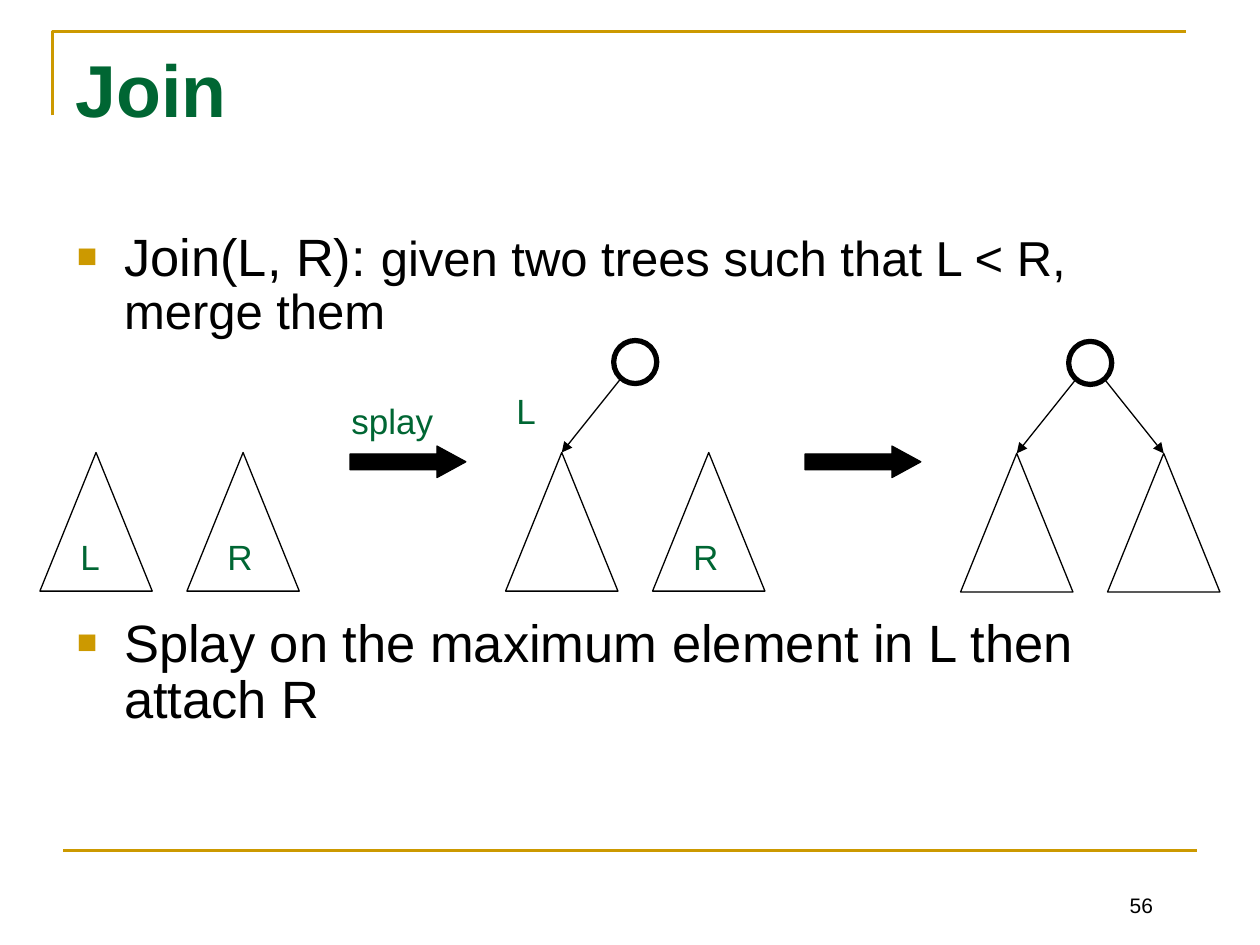
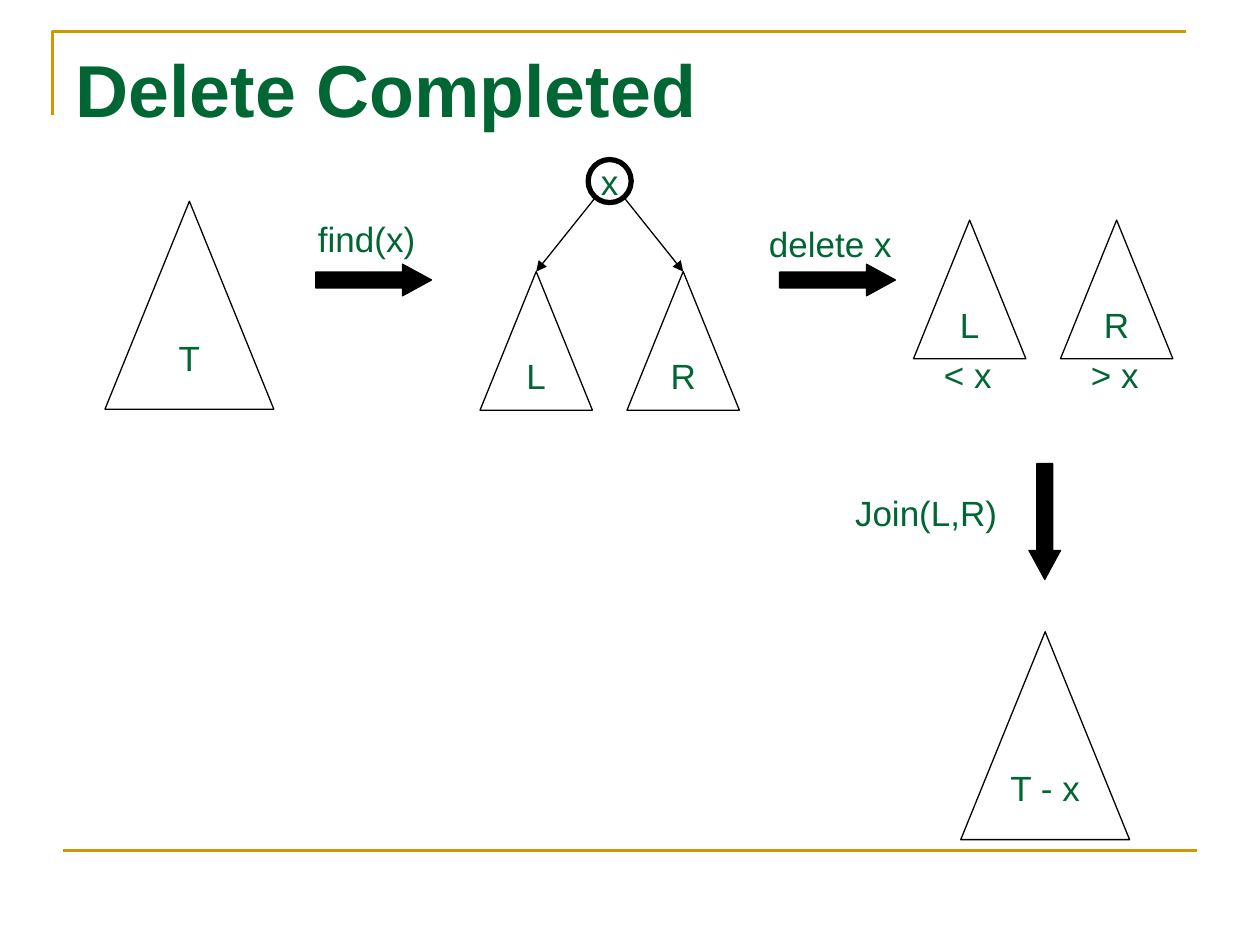
from lxml.etree import SubElement
from pptx import Presentation
from pptx.dml.color import RGBColor
from pptx.enum.shapes import MSO_CONNECTOR, MSO_SHAPE
from pptx.enum.text import MSO_ANCHOR, MSO_AUTO_SIZE, PP_ALIGN
from pptx.oxml.ns import qn
from pptx.util import Pt

COLORS = {"gold": "CC9900", "green": "006633", "black": "000000"}
FONT = "Arial"
LEFT, CENTER, RIGHT = PP_ALIGN.LEFT, PP_ALIGN.CENTER, PP_ALIGN.RIGHT

SMALL_TREE = (64.2, 79.2)
LARGE_TREE = (96.5, 118.8)
TREE_STEP = 84
ROOT_SIZE = 24.6
ROOT_RISE = 64
EDGE_RISE = 41.8
EDGE_OFFSET = 8.6
ARROW_SIZE = (66.2, 18)


def rgb(name):
    return RGBColor.from_string(COLORS[name])


class Deck:
    """Shared style plus the slide being drawn."""

    def __init__(self):
        self.prs = Presentation()
        self.prs.slide_width, self.prs.slide_height = Pt(720), Pt(540)
        self.s = None

    def slide(self, title, layout):
        self.s = self.prs.slides.add_slide(self.prs.slide_layouts[layout])
        self.frame()
        sp = self.s.shapes.title
        self.place(sp, 36, 21.6, 648, 90)
        tf = sp.text_frame
        tf.vertical_anchor = MSO_ANCHOR.TOP
        tf.auto_size = MSO_AUTO_SIZE.NONE
        tf.paragraphs[0].alignment = LEFT
        self.run(tf.paragraphs[0], title, 42, "green", bold=True)

    def frame(self):
        """Gold corner at the top left and gold rule at the bottom."""
        builder = self.s.shapes.build_freeform(Pt(30), Pt(66))
        builder.add_line_segments([(Pt(30), Pt(18)), (Pt(678), Pt(18))], close=False)
        self.style(builder.convert_to_shape(), line="gold", width=1.5)
        self.line((36, 486), (684, 486), "gold", 1.5)

    def place(self, sp, x, y, w, h):
        sp.left, sp.top, sp.width, sp.height = Pt(x), Pt(y), Pt(w), Pt(h)

    def style(self, sp, fill=None, line="black", width=0.75):
        sp.shadow.inherit = False
        if fill:
            sp.fill.solid()
            sp.fill.fore_color.rgb = rgb(fill)
        else:
            sp.fill.background()
        sp.line.color.rgb = rgb(line)
        sp.line.width = Pt(width)

    def run(self, p, text, size=20, color="green", bold=False):
        r = p.add_run()
        r.text = text
        r.font.name, r.font.size, r.font.bold = FONT, Pt(size), bold
        r.font.color.rgb = rgb(color)

    def line(self, start, end, color="black", width=0.75, arrow=False):
        points = [Pt(v) for v in (*start, *end)]
        cx = self.s.shapes.add_connector(MSO_CONNECTOR.STRAIGHT, *points)
        cx.line.color.rgb = rgb(color)
        cx.line.width = Pt(width)
        if arrow:
            SubElement(cx.line._get_or_add_ln(), qn("a:tailEnd"), type="triangle")
        SubElement(cx._element.spPr, qn("a:effectLst"))

    def shape(self, kind, x, y, w, h, text="", align=CENTER, fill=None, width=0.75):
        sp = self.s.shapes.add_shape(kind, Pt(x), Pt(y), Pt(w), Pt(h))
        self.style(sp, fill, width=width)
        if text:
            tf = sp.text_frame
            tf.word_wrap = False
            tf.vertical_anchor = MSO_ANCHOR.MIDDLE
            tf.paragraphs[0].alignment = align
            self.run(tf.paragraphs[0], text)
        return sp

    def label(self, text, x, y, w, align=CENTER):
        sp = self.s.shapes.add_textbox(Pt(x), Pt(y), Pt(w), Pt(31.5))
        tf = sp.text_frame
        tf.word_wrap = False
        tf.auto_size = MSO_AUTO_SIZE.SHAPE_TO_FIT_TEXT
        tf.paragraphs[0].alignment = align
        self.run(tf.paragraphs[0], text)

    def number(self, text):
        sp = self.s.shapes.add_textbox(Pt(516), Pt(492), Pt(150), Pt(36))
        tf = sp.text_frame
        tf.word_wrap = True
        tf.vertical_anchor = MSO_ANCHOR.BOTTOM
        tf.paragraphs[0].alignment = RIGHT
        self.run(tf.paragraphs[0], text, 12, "black")

    def arrow(self, x, y, rotation=0):
        sp = self.shape(MSO_SHAPE.RIGHT_ARROW, x, y, *ARROW_SIZE, fill="black")
        sp.adjustments[0], sp.adjustments[1] = 0.5, 0.917
        sp.rotation = rotation

    def tree(self, x, y, text="", size=SMALL_TREE, align=CENTER):
        self.shape(MSO_SHAPE.ISOSCELES_TRIANGLE, x, y, *size, text, align)

    def tree_pair(self, x, y, texts=("", ""), align=CENTER):
        for i, text in enumerate(texts):
            self.tree(x + i * TREE_STEP, y, text, align=align)

    def root(self, x, y, text="", sides=(-1, 1)):
        """Root node over the tree pair at x, y, with an edge to each given side."""
        middle = x + (TREE_STEP + SMALL_TREE[0]) / 2
        self.shape(MSO_SHAPE.OVAL, middle - ROOT_SIZE / 2, y - ROOT_RISE,
                   ROOT_SIZE, ROOT_SIZE, text, width=3)
        for side in sides:
            self.line((middle + side * EDGE_OFFSET, y - EDGE_RISE),
                      (middle + side * TREE_STEP / 2, y), arrow=True)

    def bullets(self, items):
        """Each item is (space before, [(text, size), ...])."""
        sp = self.s.placeholders[1]
        self.place(sp, 36.7, 128.2, 648, 356.4)
        tf = sp.text_frame
        tf.auto_size = MSO_AUTO_SIZE.NONE
        for i, (space, runs) in enumerate(items):
            p = tf.add_paragraph() if i else tf.paragraphs[0]
            p.line_spacing, p.space_before = 0.9, Pt(space)
            pPr = p._p.get_or_add_pPr()
            pPr.set("marL", str(Pt(27)))
            pPr.set("indent", str(Pt(-27)))
            color = SubElement(pPr, qn("a:buClr"))
            SubElement(color, qn("a:srgbClr"), val=COLORS["gold"])
            SubElement(pPr, qn("a:buSzPct"), val="65000")
            SubElement(pPr, qn("a:buFont"), typeface=FONT)
            SubElement(pPr, qn("a:buChar"), char="■")
            for text, size in runs:
                self.run(p, text, size, "black")


def join_slide(deck):
    deck.slide("Join", layout=1)
    deck.number("56")
    deck.bullets([
        (0, [("Join(L, R): ", 30),
             ("given two trees such that L < R, merge them", 28)]),
        (158, [("Splay on the maximum element in L then attach R", 30)]),
    ])
    top = 258.6
    deck.tree_pair(22.8, top, ("L", "R"), LEFT)
    deck.arrow(200, 254.9)
    deck.label("splay", 193.7, 224.6, 61.9, LEFT)
    deck.tree_pair(288.9, top, ("", "R"), LEFT)
    deck.root(288.9, top, sides=(-1,))
    deck.label("L", 288, 218.9, 25.2, LEFT)
    deck.arrow(460, 254.9)
    deck.tree_pair(548.9, top + 0.5)
    deck.root(548.9, top + 0.5)


def delete_slide(deck):
    deck.slide("Delete Completed", layout=5)
    deck.tree(60, 115, "T", LARGE_TREE)
    deck.arrow(180.4, 151)
    deck.label("find(x)", 174.2, 121, 70.6)
    deck.tree_pair(274.3, 155.2, ("L", "R"))
    deck.root(274.3, 155.2, "x")
    deck.arrow(445.5, 151)
    deck.label("delete x", 432, 123.8, 85)
    deck.tree_pair(522, 125.8, ("L", "R"))
    for i, text in enumerate(("< x", "> x")):
        deck.label(text, 532.1 + i * TREE_STEP, 198.7, 41.8)
    deck.arrow(563.9, 289, rotation=90)
    deck.label("Join(L,R)", 481, 277.2, 96.5)
    deck.tree(549, 361, "T - x", LARGE_TREE)


def main():
    deck = Deck()
    join_slide(deck)
    delete_slide(deck)
    deck.prs.save("out.pptx")


if __name__ == "__main__":
    main()
